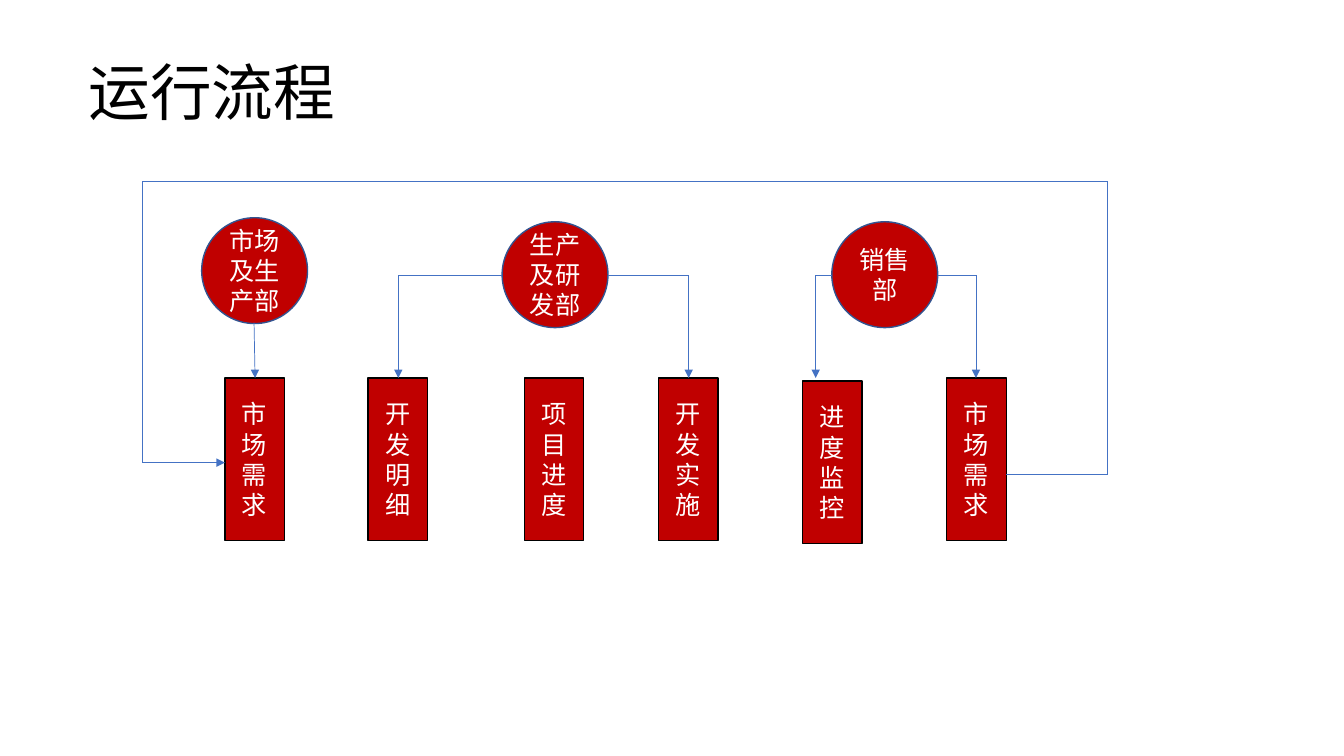
from lxml import etree
from pptx import Presentation
from pptx.dml.color import RGBColor
from pptx.enum import shapes, text
from pptx.oxml.ns import qn
from pptx.util import Inches, Pt

FONT = "Noto Sans CJK SC"
RED = RGBColor(0xC0, 0x00, 0x00)
BLUE = RGBColor(0x44, 0x72, 0xC4)
DARK_BLUE = RGBColor(0x32, 0x54, 0x91)
BLACK = RGBColor(0x00, 0x00, 0x00)
WHITE = RGBColor(0xFF, 0xFF, 0xFF)

CIRCLE_SIZE = 1.05
STEP_WIDTH, STEP_HEIGHT = 0.59, 1.61
STEP_TOP = 3.75
BRANCH_Y = 2.73

DEPARTMENTS = [
    ("市场及生产部", 2.0, 2.16),
    ("生产及研发部", 4.98, 2.2),
    ("销售部", 8.25, 2.2),
]
STEPS = [
    ("市场需求", 2.23, STEP_TOP),
    ("开发明细", 3.65, STEP_TOP),
    ("项目进度", 5.2, STEP_TOP),
    ("开发实施", 6.53, STEP_TOP),
    ("进度监控", 7.96, 3.78),
    ("市场需求", 9.39, STEP_TOP),
]
# Side of a department circle, and the x where its branch turns down
BRANCHES = [(4.98, 3.95), (6.03, 6.83), (8.25, 8.09), (9.3, 9.68)]

LOOP_LEFT, LOOP_RIGHT, LOOP_TOP = 1.41, 10.98, 1.8
LOOP_START_Y, LOOP_END_Y = 4.71, 4.59


def write(frame, wording, size, color):
    """Fill a text frame with one paragraph, for Latin and East Asian script alike."""
    frame.word_wrap = True
    frame.vertical_anchor = text.MSO_ANCHOR.MIDDLE
    paragraph = frame.paragraphs[0]
    paragraph.text = wording
    font = paragraph.font
    font.name = FONT
    font.size = Pt(size)
    font.color.rgb = color
    defaults = paragraph._p.pPr.find(qn("a:defRPr"))
    etree.SubElement(defaults, qn("a:ea"), typeface=FONT)
    return paragraph


def add_title(slide, wording):
    title = slide.shapes.add_textbox(
        Inches(0.78), Inches(0.22), Inches(11.5), Inches(1.45))
    write(title.text_frame, wording, 44, BLACK).line_spacing = 0.9


def add_node(slide, preset, wording, left, top, width, height, outline):
    node = slide.shapes.add_shape(
        preset, Inches(left), Inches(top), Inches(width), Inches(height))
    node.shadow.inherit = False
    node.fill.solid()
    node.fill.fore_color.rgb = RED
    node.line.color.rgb = outline
    node.line.width = Pt(1)
    paragraph = write(node.text_frame, wording, 18, WHITE)
    paragraph.alignment = text.PP_ALIGN.CENTER


def add_line(slide, start, end, arrow=False):
    line = slide.shapes.add_connector(
        shapes.MSO_CONNECTOR.STRAIGHT, *map(Inches, start + end))
    line.line.color.rgb = BLUE
    line.line.width = Pt(0.5)
    properties = line._element.spPr
    etree.SubElement(properties, qn("a:effectLst"))
    if arrow:
        etree.SubElement(properties.find(qn("a:ln")), qn("a:tailEnd"), type="triangle")


def add_route(slide, *points):
    """Draw straight legs through the points, with an arrowhead on the last one."""
    legs = list(zip(points, points[1:]))
    for number, (start, end) in enumerate(legs, 1):
        add_line(slide, start, end, arrow=number == len(legs))


def main():
    deck = Presentation()
    deck.slide_width, deck.slide_height = Inches(13.33), Inches(7.5)
    slide = deck.slides.add_slide(deck.slide_layouts[6])

    add_title(slide, "运行流程")
    for wording, left, top in DEPARTMENTS:
        add_node(slide, shapes.MSO_SHAPE.OVAL, wording, left, top,
                 CIRCLE_SIZE, CIRCLE_SIZE, DARK_BLUE)
    for wording, left, top in STEPS:
        add_node(slide, shapes.MSO_SHAPE.RECTANGLE, wording, left, top,
                 STEP_WIDTH, STEP_HEIGHT, BLACK)

    add_route(slide, (2.52, 3.2), (2.53, STEP_TOP))
    for circle_side, turn in BRANCHES:
        add_route(slide, (circle_side, BRANCH_Y), (turn, BRANCH_Y), (turn, STEP_TOP))
    add_route(slide, (9.98, LOOP_START_Y), (LOOP_RIGHT, LOOP_START_Y),
              (LOOP_RIGHT, LOOP_TOP), (LOOP_LEFT, LOOP_TOP),
              (LOOP_LEFT, LOOP_END_Y), (2.23, LOOP_END_Y))

    deck.save("out.pptx")


if __name__ == "__main__":
    main()
